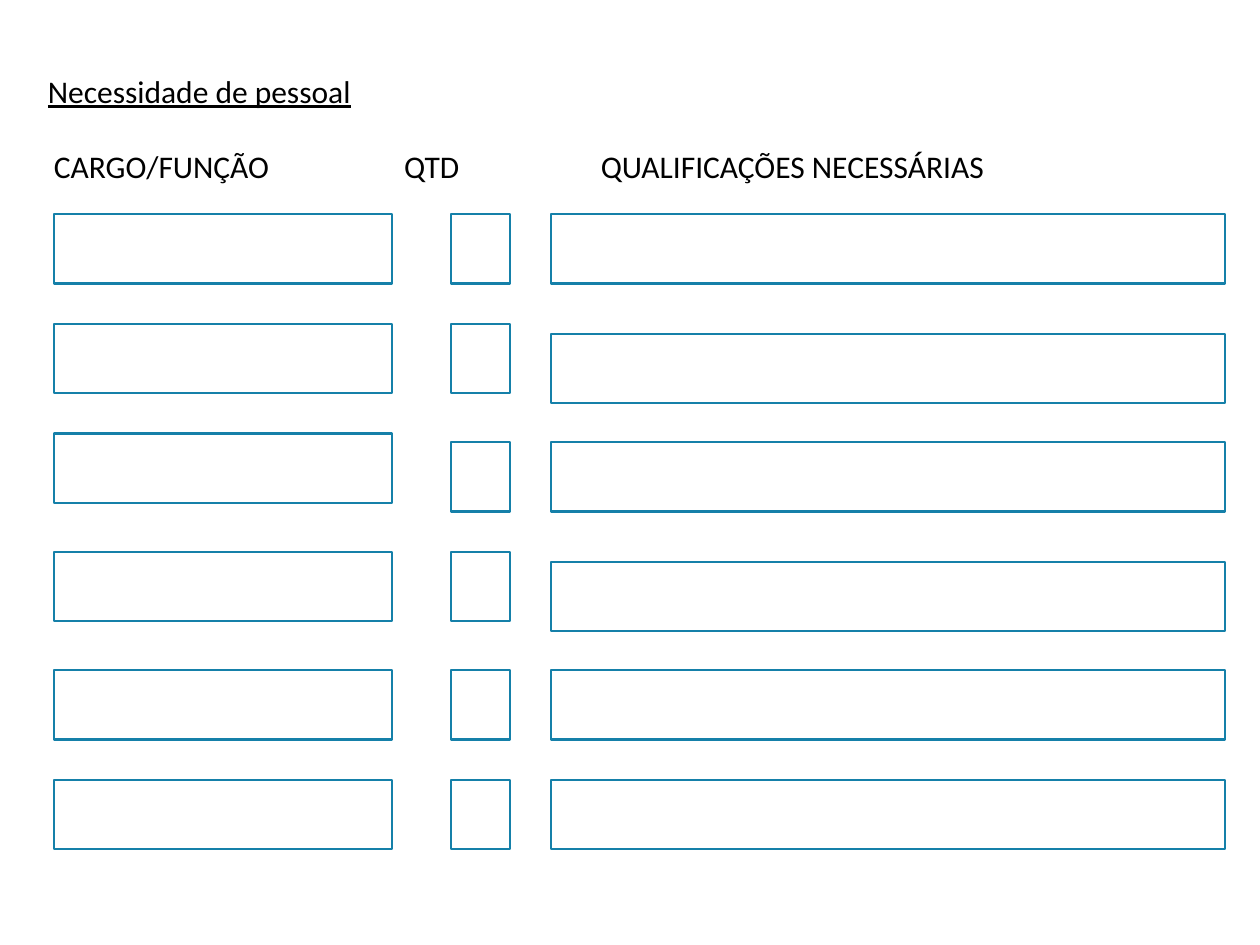
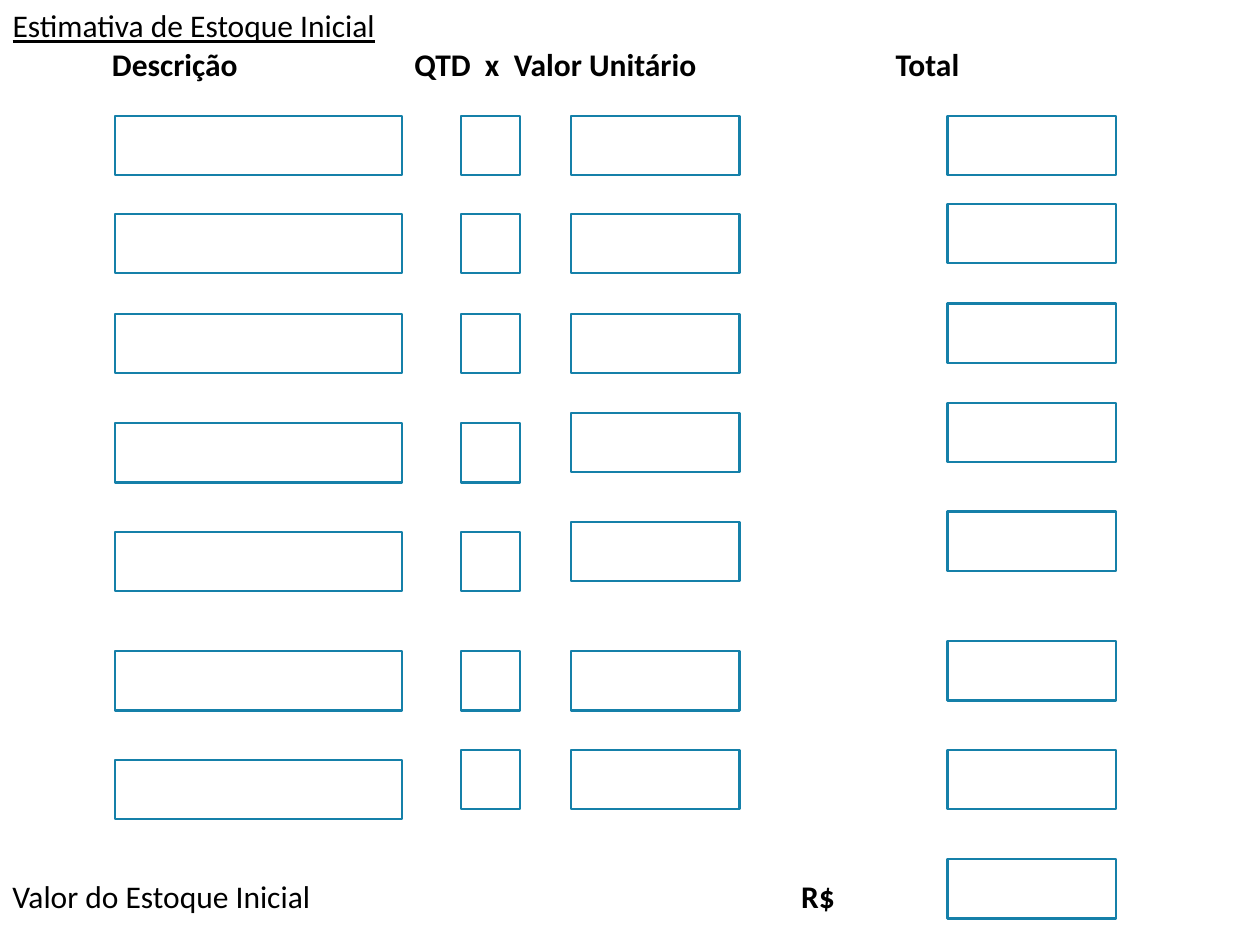
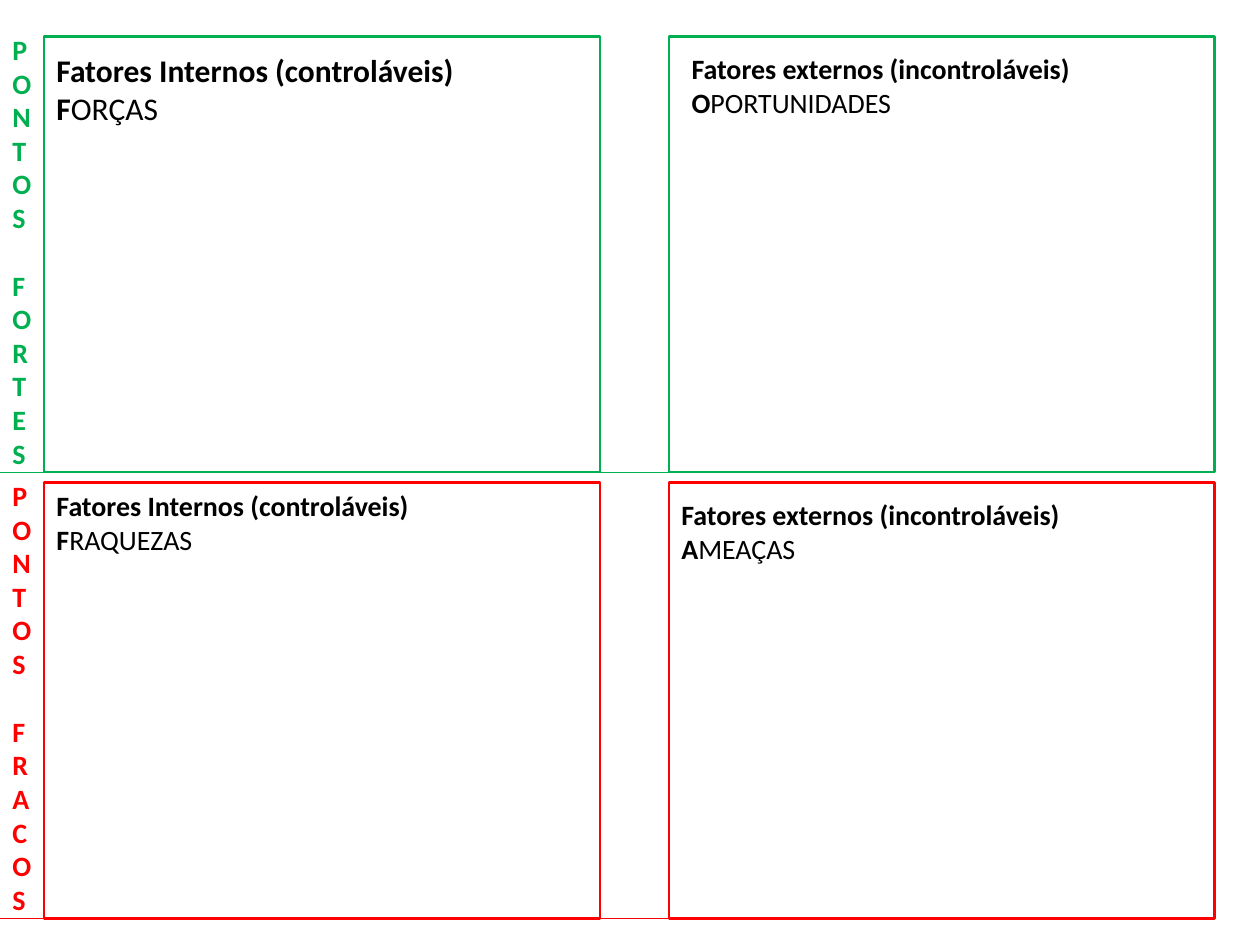
from dataclasses import dataclass

from lxml import etree
from pptx import Presentation
from pptx.dml.color import RGBColor
from pptx.enum.shapes import MSO_CONNECTOR, MSO_SHAPE
from pptx.enum.text import MSO_ANCHOR, MSO_AUTO_SIZE, PP_ALIGN
from pptx.oxml.ns import qn
from pptx.util import Inches, Pt

COLUMNS, ROWS = 100, 75
TITLE_ONLY, BLANK = 5, 6


@dataclass(frozen=True)
class Theme:
    font: str = "Calibri"
    ink: str = "000000"
    field: str = "1580A9"
    strong: str = "00B050"
    weak: str = "FF0000"
    large: float = 18
    small: float = 16
    letter_gap: float = 19.5
    outline: float = 1.25
    rule: float = 0.75


THEME = Theme()


def write_text(paragraph, text, size=THEME.large, color=THEME.ink, bold=False, underline=False):
    """Add one formatted run to a paragraph."""
    run = paragraph.add_run()
    run.text = text
    font = run.font
    font.name, font.size = THEME.font, Pt(size)
    font.bold, font.underline = bold, underline
    font.color.rgb = RGBColor.from_string(color)


class SlideBuilder:
    """Holds the theme and the current slide; lengths are grid columns and rows."""

    def __init__(self, presentation, theme):
        self.presentation = presentation
        self.theme = theme
        self.slide = None

    def place(self, left, top, width, height):
        across = self.presentation.slide_width / COLUMNS
        down = self.presentation.slide_height / ROWS
        return [round(value) for value in (left * across, top * down, width * across, height * down)]

    def new_slide(self, layout):
        self.slide = self.presentation.slides.add_slide(self.presentation.slide_layouts[layout])

    def title(self, text, *area):
        shape = self.slide.shapes.title
        shape.left, shape.top, shape.width, shape.height = self.place(*area)
        frame = shape.text_frame
        frame.auto_size = MSO_AUTO_SIZE.NONE
        frame.vertical_anchor = MSO_ANCHOR.TOP
        paragraph = frame.paragraphs[0]
        paragraph.alignment = PP_ALIGN.LEFT
        write_text(paragraph, text, underline=True)

    def text_box(self, *area):
        frame = self.slide.shapes.add_textbox(*self.place(*area)).text_frame
        frame.word_wrap = True
        return frame

    def tabbed_line(self, parts, stops, *area):
        """One line of (text, bold) parts, each starting at its own tab stop."""
        paragraph = self.text_box(*area).paragraphs[0]
        tabs = etree.SubElement(paragraph._p.get_or_add_pPr(), qn("a:tabLst"))
        for stop in stops:
            position = self.place(stop, 0, 0, 0)[0]
            etree.SubElement(tabs, qn("a:tab"), pos=str(position), algn="l")
        for text, bold in parts:
            write_text(paragraph, text, bold=bold)

    def box(self, color, *area):
        shape = self.slide.shapes.add_shape(MSO_SHAPE.RECTANGLE, *self.place(*area))
        shape.shadow.inherit = False
        shape.fill.background()
        shape.line.color.rgb = RGBColor.from_string(color)
        shape.line.width = Pt(self.theme.outline)

    def field_column(self, left, width, height, tops):
        for top in tops:
            self.box(self.theme.field, left, top, width, height)

    def rule(self, color, start, end, row):
        left, top, length, _ = self.place(start, row, end - start, 0)
        connector = self.slide.shapes.add_connector(
            MSO_CONNECTOR.STRAIGHT, left, top, left + length, top)
        connector.line.color.rgb = RGBColor.from_string(color)
        connector.line.width = Pt(self.theme.rule)
        etree.SubElement(connector._element.spPr, qn("a:effectLst"))

    def panel_heading(self, heading, name, size, *area):
        """Bold heading above a name whose initial is bold."""
        frame = self.text_box(*area)
        write_text(frame.paragraphs[0], heading, size=size, bold=True)
        paragraph = frame.add_paragraph()
        write_text(paragraph, name[0], size=size, bold=True)
        write_text(paragraph, name[1:], size=size)

    def vertical_label(self, words, color, *area):
        """Words set one letter a line, with one line's gap between words."""
        frame = self.text_box(*area)
        paragraph = frame.paragraphs[0]
        for word_index, word in enumerate(words):
            for letter_index, letter in enumerate(word):
                if word_index or letter_index:
                    paragraph = frame.add_paragraph()
                if word_index and not letter_index:
                    paragraph.space_before = Pt(self.theme.letter_gap)
                write_text(paragraph, letter, size=self.theme.small, color=color, bold=True)


def staff_slide(builder):
    builder.new_slide(TITLE_ONLY)
    builder.title("Necessidade de pessoal", 2.8, 5.2, 92.9, 4)
    builder.tabbed_line([("CARGO/FUNÇÃO\tQTD\tQUALIFICAÇÕES NECESSÁRIAS", False)],
                        (27.8, 43.4), 3.3, 11.2, 92.4, 4)
    # Role, quantity and qualification fields
    for left, width, tops in (
        (4.3, 26.8, (17, 25.7, 34.4, 43.8, 53.2, 61.9)),
        (35.8, 4.7, (17, 25.7, 35.1, 43.8, 53.2, 61.9)),
        (43.7, 53.5, (17, 26.5, 35.1, 44.6, 53.2, 61.9)),
    ):
        builder.field_column(left, width, 5.5, tops)


def stock_slide(builder):
    builder.new_slide(TITLE_ONLY)
    builder.title("Estimativa de Estoque Inicial", 0, 0, 100, 3.6)
    builder.tabbed_line([("\tDescrição\tQTD\tx\tValor Unitário\tTotal", True)],
                        (7.9, 31.9, 37.5, 39.8, 70.1), 0, 3.05, 100, 4)
    # Description, quantity, unit value and total fields
    for left, width, tops in (
        (9.1, 22.8, (9.2, 17, 24.9, 33.6, 42.2, 51.7, 60.3)),
        (36.6, 4.7, (9.2, 17, 24.9, 33.6, 42.2, 51.7, 59.5)),
        (45.3, 13.4, (9.2, 17, 24.9, 32.8, 41.4, 51.7, 59.5)),
        (75.2, 13.4, (9.2, 16.2, 24.1, 32, 40.6, 50.9, 59.5, 68.2)),
    ):
        builder.field_column(left, width, 4.7, tops)
    # Sum line
    builder.tabbed_line([("Valor do Estoque Inicial\t", False), ("R$", True)],
                        (62.6,), 0, 69.1, 74, 4)


def swot_slide(builder):
    theme = builder.theme
    builder.new_slide(BLANK)
    height = 34.6
    bands = (
        (theme.strong, 2.9, ("PONTOS", "FORTES")),
        (theme.weak, 38.3, ("PONTOS", "FRACOS")),
    )
    # Two bands, each with two panels, a side label and joining rules
    for color, top, words in bands:
        builder.box(color, 3.5, top, 44.1, height)
        builder.box(color, 53.1, top, 43.3, height)
        builder.vertical_label(words, color, 0, top - 0.8, 2.8, 36)
        for start, end in ((0, 3.5), (47.6, 53.1)):
            builder.rule(color, start, end, top + height)
    # Panel headings
    inner, outer = "Fatores Internos (controláveis)", "Fatores externos (incontroláveis)"
    for heading, name, size, left, top, width in (
        (inner, "FORÇAS", theme.large, 3.5, 3.6, 43.3),
        (outer, "OPORTUNIDADES", theme.small, 53.9, 3.6, 41.7),
        (inner, "FRAQUEZAS", theme.small, 3.5, 38.3, 44),
        (outer, "AMEAÇAS", theme.small, 53.1, 39, 43),
    ):
        builder.panel_heading(heading, name, size, left, top, width, 7)


def main():
    presentation = Presentation()
    presentation.slide_width, presentation.slide_height = Inches(10), Inches(7.5)
    builder = SlideBuilder(presentation, THEME)
    for build in (staff_slide, stock_slide, swot_slide):
        build(builder)
    presentation.save("out.pptx")


if __name__ == "__main__":
    main()
